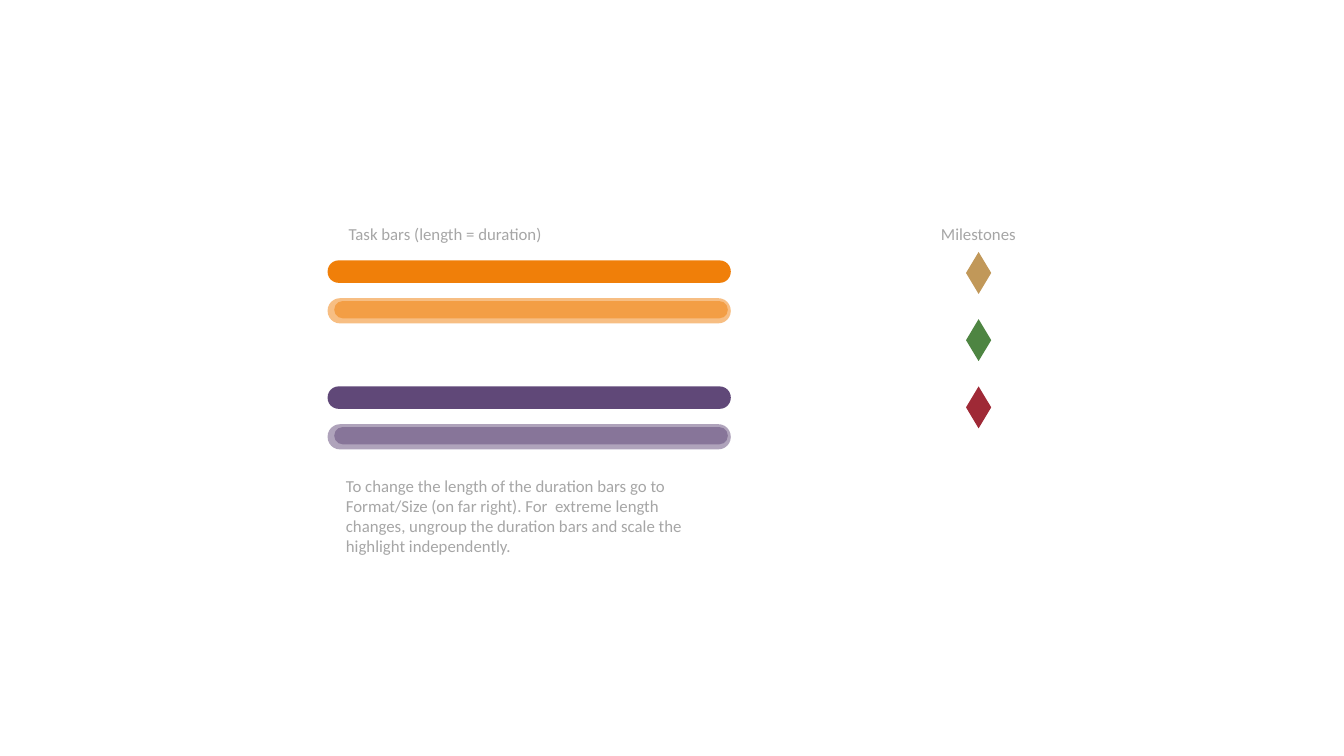
from lxml import etree
from pptx import Presentation
from pptx.dml.color import RGBColor
from pptx.enum.shapes import MSO_SHAPE
from pptx.enum.text import MSO_AUTO_SIZE, PP_ALIGN
from pptx.oxml.ns import qn
from pptx.util import Inches, Pt

ROUNDED, DIAMOND = MSO_SHAPE.ROUNDED_RECTANGLE, MSO_SHAPE.FLOWCHART_DECISION
LEFT, CENTER = PP_ALIGN.LEFT, PP_ALIGN.CENTER
FIT_SHAPE = MSO_AUTO_SIZE.SHAPE_TO_FIT_TEXT
COLORS = {"text": "A6A6A6", "orange": "F07F09", "purple": "604878",
          "tan": "C19859", "green": "4E8542", "red": "9F2936"}
COLS, ROWS = 160, 90


class GanttLegend:
    """Draws legend elements on a slide, with lengths in grid columns and rows."""

    def __init__(self, prs, font="Calibri", size=12):
        self.s = prs.slides.add_slide(prs.slide_layouts[6])
        self.font, self.size = font, Pt(size)
        self.col, self.row = prs.slide_width / COLS, prs.slide_height / ROWS

    def box(self, x, y, w, h):
        return (round(x * self.col), round(y * self.row),
                round(w * self.col), round(h * self.row))

    def text(self, words, x, y, w, h, align=LEFT):
        tf = self.s.shapes.add_textbox(*self.box(x, y, w, h)).text_frame
        tf.word_wrap, tf.auto_size = True, FIT_SHAPE
        p = tf.paragraphs[0]
        p.alignment = align
        r = p.add_run()
        r.text = words
        r.font.name, r.font.size = self.font, self.size
        r.font.color.rgb = RGBColor.from_string(COLORS["text"])

    def shape(self, shapes, kind, color, x, y, w, h, opacity=100):
        sp = shapes.add_shape(kind, *self.box(x, y, w, h))
        sp.shadow.inherit = False
        sp.line.fill.background()
        sp.fill.solid()
        sp.fill.fore_color.rgb = RGBColor.from_string(COLORS[color])
        if opacity < 100:
            clr = sp.fill._xPr.find(qn("a:solidFill"))[0]
            etree.SubElement(clr, qn("a:alpha")).set("val", str(opacity * 1000))
        return sp

    def task_bar(self, color, y, height, inset, opacity):
        group = self.s.shapes.add_group_shape()
        for x, top, w, h in ((39, y, 48, height),
                             (39 + inset, y + 0.35, 46.85, 2.05)):
            sp = self.shape(group.shapes, ROUNDED, color, x, top, w, h, opacity)
            sp.adjustments[0] = 0.49

    def milestone(self, color, y):
        self.shape(self.s.shapes, DIAMOND, color, 115, y, 3, 5)


prs = Presentation()
prs.slide_width, prs.slide_height = Inches(13.33), Inches(7.5)
legend = GanttLegend(prs)

legend.text("Task bars (length = duration)", 38, 26, 30, 3.6, CENTER)
legend.text("Milestones", 105.6, 26, 21.75, 3.6, CENTER)

for color, y in (("orange", 31), ("purple", 46)):
    legend.task_bar(color, y, 2.67, 0.6, 100)
    legend.task_bar(color, y + 4.5, 3, 0.8, 50)

for i, color in enumerate(("tan", "green", "red")):
    legend.milestone(color, 30 + 8 * i)

legend.text("To change the length of the duration bars go to Format/Size "
            "(on far right). For  extreme length changes, ungroup the duration "
            "bars and scale the highlight independently.", 40, 56, 47, 10.9)

prs.save("out.pptx")
